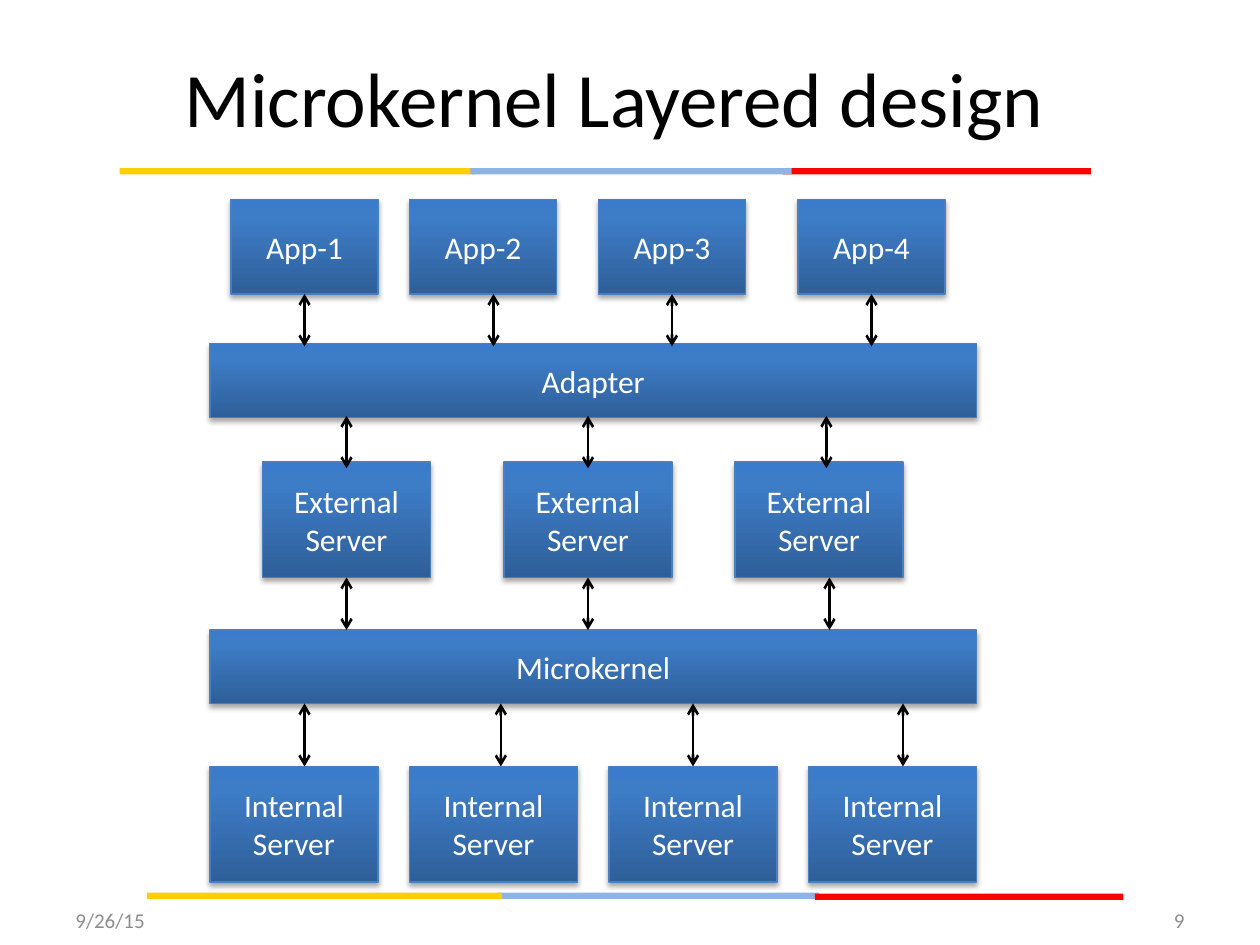
from lxml import etree
from pptx import Presentation
from pptx import util as u
from pptx.dml.color import RGBColor
from pptx.enum import shapes, text
from pptx.oxml import parse_xml
from pptx.oxml.ns import nsdecls, qn

COLUMNS, ROWS = 120, 90  # a grid of twelve cells to the inch
MIDDLE, LEFT, RIGHT = text.PP_ALIGN.CENTER, text.PP_ALIGN.LEFT, text.PP_ALIGN.RIGHT


def color(hex_string):
    return RGBColor.from_string(hex_string)


class LayerDiagram:
    font = "Calibri"
    gradient = ((0, "2F5F99"), (80, "3D7CC7"), (100, "3A7CCB"))
    outline = "4B7EBC"
    stripes = {"yellow": "FFCE00", "blue": "8EB4E3", "red": "FF0000"}

    def __init__(self, presentation):
        self.slide = presentation.slides.add_slide(presentation.slide_layouts[6])
        self.cell_width = presentation.slide_width / COLUMNS
        self.cell_height = presentation.slide_height / ROWS

    def place(self, column, row, width, height):
        return (round(column * self.cell_width), round(row * self.cell_height),
                round(width * self.cell_width), round(height * self.cell_height))

    def set_text(self, frame, words, size, ink, align):
        frame.word_wrap = True
        frame.vertical_anchor = text.MSO_ANCHOR.MIDDLE
        frame.text = words
        for paragraph in frame.paragraphs:
            paragraph.alignment = align
            paragraph.font.name = self.font
            paragraph.font.size = u.Pt(size)
            paragraph.font.color.rgb = color(ink)

    def label(self, words, area, size, ink, align):
        box = self.slide.shapes.add_textbox(*self.place(*area))
        self.set_text(box.text_frame, words, size, ink, align)

    def rectangle(self, *area):
        shape = self.slide.shapes.add_shape(
            shapes.MSO_SHAPE.RECTANGLE, *self.place(*area))
        shape.shadow.inherit = False
        return shape

    def stripe(self, name, column, row, width):
        band = self.rectangle(column, row, width, 0.6)
        band.fill.solid()
        band.fill.fore_color.rgb = color(self.stripes[name])
        band.line.fill.background()

    def block(self, words, *area):
        """Add a component with a vertical gradient and a soft shadow below."""
        component = self.rectangle(*area)
        component.line.color.rgb = color(self.outline)
        component.line.width = u.Pt(0.75)
        stops = "".join(f'<a:gs pos="{share * 1000}"><a:srgbClr val="{tone}"/></a:gs>'
                        for share, tone in self.gradient)
        properties = component._element.spPr
        properties.find(qn("a:prstGeom")).addnext(parse_xml(
            f'<a:gradFill {nsdecls("a")} rotWithShape="1"><a:gsLst>{stops}</a:gsLst>'
            '<a:lin ang="16200000" scaled="0"/></a:gradFill>'))
        properties.find(qn("a:effectLst")).append(parse_xml(
            f'<a:outerShdw {nsdecls("a")} blurRad="{u.Pt(3.1)}" dist="{u.Pt(1.8)}" '
            'dir="5400000" rotWithShape="0"><a:srgbClr val="000000">'
            '<a:alpha val="35000"/></a:srgbClr></a:outerShdw>'))
        self.set_text(component.text_frame, words, 18, "FFFFFF", MIDDLE)

    def double_arrow(self, column, row, length):
        x, top, _, height = self.place(column, row, 0, length)
        link = self.slide.shapes.add_connector(
            shapes.MSO_CONNECTOR.STRAIGHT, x, top, x, top + height)
        link.line.color.rgb = color("000000")
        link.line.width = u.Pt(1.5)
        properties = link._element.spPr
        outline = properties.find(qn("a:ln"))
        for end in ("a:headEnd", "a:tailEnd"):
            etree.SubElement(outline, qn(end), type="arrow")
        etree.SubElement(properties, qn("a:effectLst"))


def main():
    presentation = Presentation()
    presentation.slide_width, presentation.slide_height = u.Inches(10), u.Inches(7.5)
    diagram = LayerDiagram(presentation)

    for name, column, row, width in (
            ("red", 74.6, 16, 29.3), ("yellow", 11.4, 16, 33.8), ("blue", 44.8, 16, 30.6),
            ("blue", 47.4, 85, 30.6), ("red", 77.6, 85.1, 29.4), ("yellow", 14, 85, 33.8)):
        diagram.stripe(name, column, row, width)

    diagram.label("9/26/15", (6, 85.2, 28, 4.8), 12, "8C8C8C", LEFT)
    diagram.label("9", (86, 85.2, 28, 4.8), 12, "8C8C8C", RIGHT)
    diagram.label("Microkernel Layered design", (4.5, 2.6, 108, 13.3), 44, "000000", MIDDLE)

    for number, column in enumerate((22, 39, 57, 76), start=1):
        diagram.block(f"App-{number}", column, 19, 14, 9)
    diagram.block("Adapter", 20, 32.75, 73, 7)
    for column in (25, 48, 70):
        diagram.block("External\nServer", column, 44, 16, 11)
    diagram.block("Microkernel", 20, 60, 73, 7)
    for position in range(4):
        diagram.block("Internal\nServer", 20 + 19 * position, 73, 16, 11)

    for row, length, columns in (
            (28, 5, (29, 47, 64, 83)),
            (39.6, 5, (33, 56, 78.7)),
            (55, 5, (33, 56, 79)),
            (67, 6, (29, 47.7, 66, 86))):
        for column in columns:
            diagram.double_arrow(column, row, length)

    presentation.save("out.pptx")


if __name__ == "__main__":
    main()
